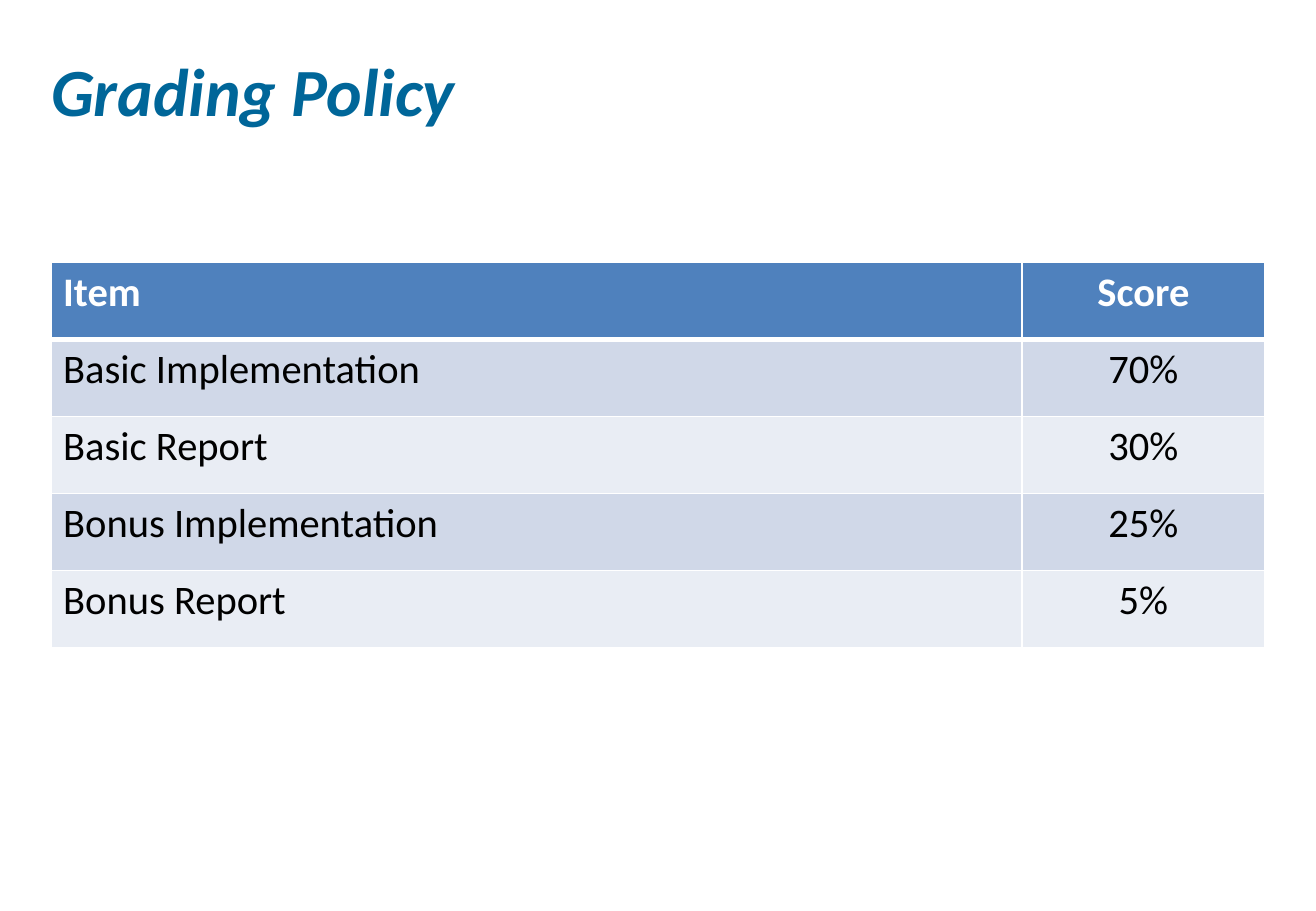
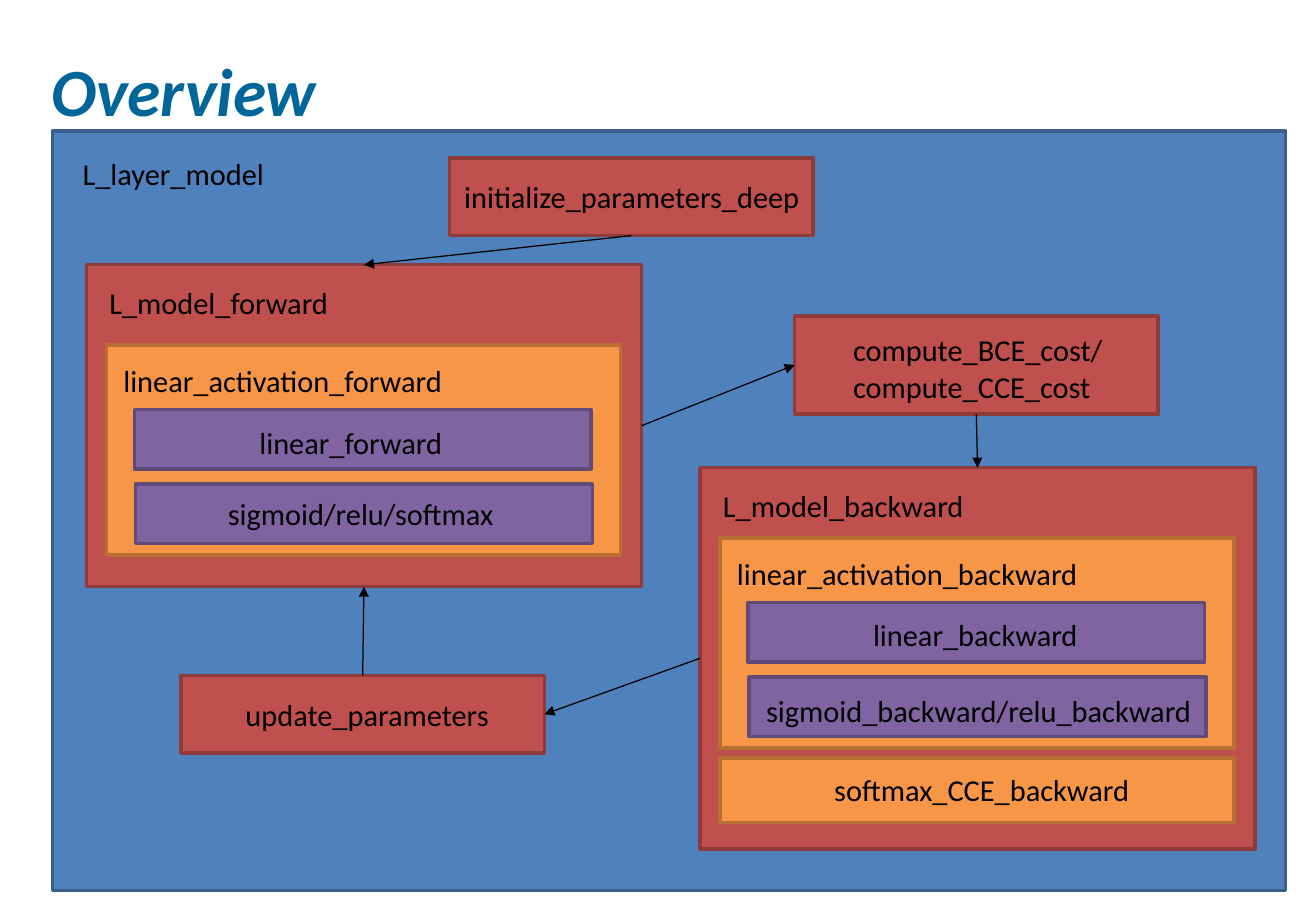
import dataclasses

import lxml.etree
import pptx
import pptx.dml.color
import pptx.enum.shapes
import pptx.enum.text
import pptx.oxml.ns
import pptx.util

TOP, LEFT, BOTTOM, RIGHT = range(4)  # connection sites of a rectangle


@dataclasses.dataclass(frozen=True)
class Theme:
    font: str = "Calibri"
    title: str = "006699"
    text: str = "000000"
    white: str = "FFFFFF"
    header: str = "4F81BD"
    bands: tuple = ("D0D8E8", "E9EDF4")
    # (fill, outline) by nesting level
    model: tuple = ("4F81BD", "3A5F8C")
    step: tuple = ("C0504D", "8E3B39")
    activation: tuple = ("F79646", "B76F34")
    function: tuple = ("8064A2", "5F4A78")
    title_size: int = 40
    table_size: int = 24
    label_size: int = 18
    outline: float = 2
    arrow: float = 0.75


def cells(count):
    """Length of grid cells; ten cells make an inch."""
    return pptx.util.Inches(count / 10)


def rgb(value):
    return pptx.dml.color.RGBColor.from_string(value)


def add_xml(parent, tag, **attributes):
    return lxml.etree.SubElement(parent, pptx.oxml.ns.qn(tag), attributes)


class Deck:
    COLUMNS, ROWS = 108.3, 75
    MARGIN, CONTENT = 4.2, 99.9

    def __init__(self, theme):
        self.theme = theme
        self.presentation = pptx.Presentation()
        self.presentation.slide_width = cells(self.COLUMNS)
        self.presentation.slide_height = cells(self.ROWS)
        self.slide = None

    def style(self, frame, size, color, bold=False, italic=False, align="LEFT"):
        for paragraph in frame.paragraphs:
            paragraph.alignment = getattr(pptx.enum.text.PP_ALIGN, align)
            font = paragraph.font
            font.name, font.size = self.theme.font, pptx.util.Pt(size)
            font.bold, font.italic = bold, italic
            font.color.rgb = rgb(color)

    def new_slide(self, heading):
        layout = self.presentation.slide_layouts.get_by_name("Title Only")
        self.slide = self.presentation.slides.add_slide(layout)
        title = self.slide.shapes.title
        title.left, title.top = cells(self.MARGIN), cells(3.9)
        title.width, title.height = cells(self.CONTENT), cells(6.9)
        frame = title.text_frame
        frame.text = heading
        frame.margin_left = frame.margin_right = 0
        frame.margin_top = frame.margin_bottom = 0
        self.style(frame, self.theme.title_size, self.theme.title, True, True)

    def borders(self, cell, **widths):
        properties = cell._tc.get_or_add_tcPr()
        for side in "LRTB":
            width = pptx.util.Pt(widths.get(side, 1))
            line = add_xml(properties, f"a:ln{side}", w=str(width))
            add_xml(add_xml(line, "a:solidFill"), "a:srgbClr", val=self.theme.white)

    def table(self, rows, top, column_widths, row_height):
        theme = self.theme
        grid = self.slide.shapes.add_table(
            len(rows), len(column_widths), cells(self.MARGIN), cells(top),
            cells(sum(column_widths)), cells(row_height * len(rows))).table
        for column, width in zip(grid.columns, column_widths):
            column.width = cells(width)
        for r, row in enumerate(rows):
            is_header = r == 0
            for c, text in enumerate(row):
                cell = grid.cell(r, c)
                cell.text = text
                # Thick rule between header and body
                self.borders(cell, B=3 if is_header else 1, T=3 if r == 1 else 1)
                cell.fill.solid()
                cell.fill.fore_color.rgb = rgb(
                    theme.header if is_header else theme.bands[(r - 1) % 2])
                self.style(cell.text_frame, theme.table_size,
                           theme.white if is_header else theme.text,
                           bold=is_header, align="CENTER" if c else "LEFT")

    def box(self, label, colors, left, top, width, height, indent, drop):
        """Rectangle whose label starts at (indent, drop) from its corner."""
        box = self.slide.shapes.add_shape(
            pptx.enum.shapes.MSO_SHAPE.RECTANGLE,
            cells(left), cells(top), cells(width), cells(height))
        fill, outline = colors
        box.shadow.inherit = False
        box.fill.solid()
        box.fill.fore_color.rgb = rgb(fill)
        box.line.color.rgb = rgb(outline)
        box.line.width = pptx.util.Pt(self.theme.outline)
        frame = box.text_frame
        frame.text = label
        frame.word_wrap = True
        frame.vertical_anchor = pptx.enum.text.MSO_ANCHOR.TOP
        frame.margin_left, frame.margin_top = cells(indent), cells(drop)
        frame.margin_right = frame.margin_bottom = 0
        self.style(frame, self.theme.label_size, self.theme.text)
        return box

    def arrow(self, source, source_side, target, target_side):
        arrow = self.slide.shapes.add_connector(
            pptx.enum.shapes.MSO_CONNECTOR.STRAIGHT, 0, 0, 0, 0)
        arrow.begin_connect(source, source_side)
        arrow.end_connect(target, target_side)
        arrow.line.color.rgb = rgb(self.theme.text)
        arrow.line.width = pptx.util.Pt(self.theme.arrow)
        add_xml(arrow.line._get_or_add_ln(), "a:tailEnd", type="triangle")
        add_xml(arrow._element.spPr, "a:effectLst")

    def step(self, label, left, top, indent, drop=1.7, height=6.4):
        return self.box(label, self.theme.step, left, top, 29.9, height, indent, drop)

    def model_pass(self, direction, left, top, height, inner_top, functions):
        """Nested boxes of one pass: model, activation, its two functions."""
        theme = self.theme
        outer = self.box(f"L_model_{direction}", theme.step,
                         left, top, 45.7, height, 1.9, 1.6)
        left, top = left + 1.65, top + inner_top
        self.box(f"linear_activation_{direction}", theme.activation,
                 left, top, 42.3, 17.3, 1.4, 1.4)
        for i, (label, indent, drop) in enumerate(functions):
            self.box(label, theme.function, left + 2.3 + 0.1 * i,
                     top + 5.3 + 6.15 * i, 37.6, 4.9, indent, drop)
        return outer


def grading_policy(deck):
    deck.new_slide("Grading Policy")
    deck.table([("Item", "Score"),
                ("Basic Implementation", "70%"),
                ("Basic Report", "30%"),
                ("Bonus Implementation", "25%"),
                ("Bonus Report", "5%")],
               top=21.6, column_widths=(79.9, 20), row_height=6.34)


def overview(deck):
    deck.new_slide("Overview")
    deck.box("L_layer_model", deck.theme.model, 4.3, 10.8, 101.5, 62.5, 2.5, 2)

    # Single steps
    initialize = deck.step("initialize_parameters_deep", 37, 13, indent=1.2)
    cost = deck.step("compute_BCE_cost/\ncompute_CCE_cost", 65.4, 26,
                     indent=4.8, drop=1.3, height=8.1)
    update = deck.step("update_parameters", 14.9, 55.6, indent=5.3)

    # Backward and forward passes
    backward = deck.model_pass(
        "backward", 57.6, 38.5, 31.4, 5.8,
        [("linear_backward", 10.3, 1.1),
         ("sigmoid_backward/relu_backward", 1.4, 1.2)])
    deck.box("softmax_CCE_backward", deck.theme.activation,
             59.25, 62.4, 42.3, 5.3, 9.4, 1.1)
    forward = deck.model_pass(
        "forward", 7.1, 21.8, 26.5, 6.6,
        [("linear_forward", 10.3, 1.2), ("sigmoid/relu/softmax", 7.6, 0.9)])

    # Training loop
    deck.arrow(initialize, BOTTOM, forward, TOP)
    deck.arrow(forward, RIGHT, cost, LEFT)
    deck.arrow(cost, BOTTOM, backward, TOP)
    deck.arrow(backward, LEFT, update, RIGHT)
    deck.arrow(update, TOP, forward, BOTTOM)


def main():
    deck = Deck(Theme())
    grading_policy(deck)
    overview(deck)
    deck.presentation.save("out.pptx")


if __name__ == "__main__":
    main()
